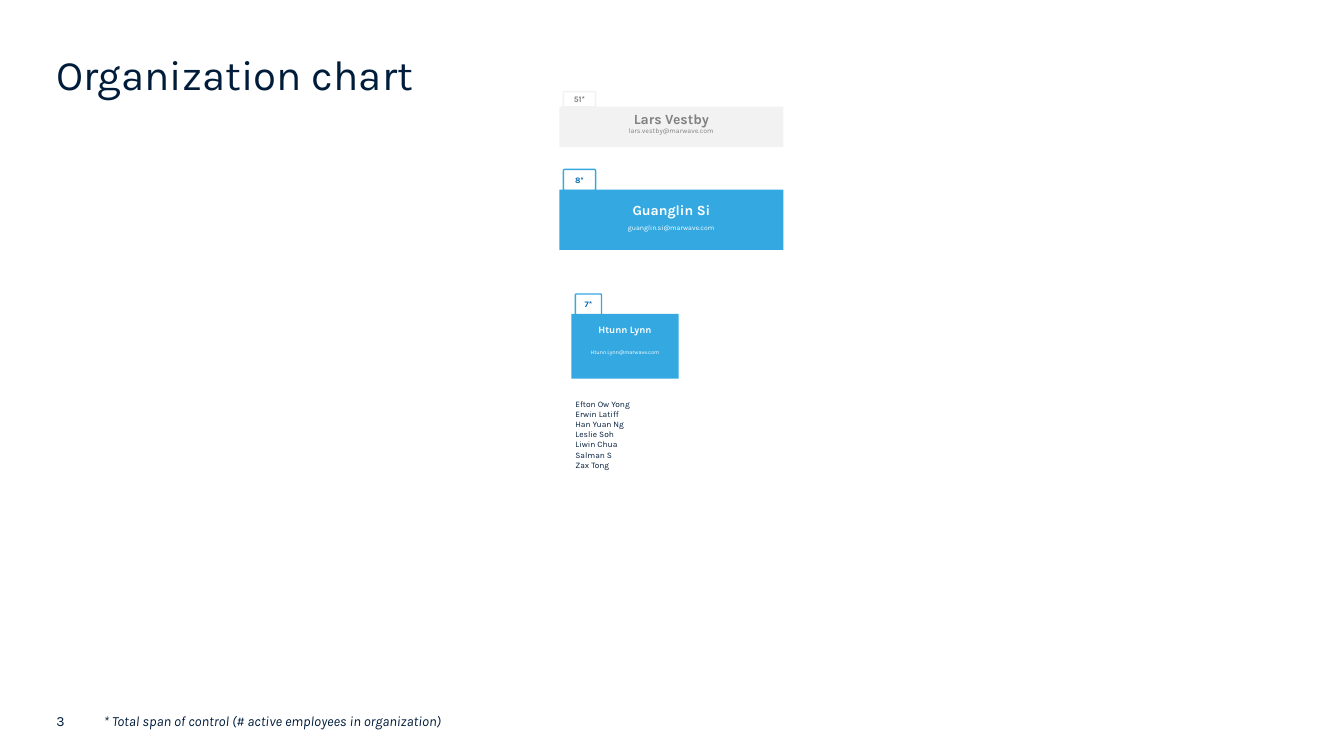
from dataclasses import dataclass

from lxml import etree
from pptx import Presentation
from pptx.dml.color import RGBColor
from pptx.enum.shapes import MSO_SHAPE
from pptx.enum.text import MSO_ANCHOR, MSO_AUTO_SIZE, PP_ALIGN
from pptx.oxml.ns import qn
from pptx.util import Cm, Pt

ROUNDED = MSO_SHAPE.ROUNDED_RECTANGLE
TOP, MIDDLE, BOTTOM = MSO_ANCHOR.TOP, MSO_ANCHOR.MIDDLE, MSO_ANCHOR.BOTTOM
LEFT, CENTER = PP_ALIGN.LEFT, PP_ALIGN.CENTER
NO_AUTOSIZE = MSO_AUTO_SIZE.NONE
FONT = "Karla"
NAVY, BLUE, DARK_BLUE = "001C3B", "34A9E1", "0068AF"
WHITE, LIGHT_GRAY, GRAY = "FFFFFF", "F2F2F2", "808080"
CARD_PADDING = 0.1
MEMBERS = ["Efton Ow Yong", "Erwin Latiff", "Han Yuan Ng", "Leslie Soh",
           "Liwin Chua", "Salman S", "Zax Tong"]


@dataclass
class Card:
    """Content and measures, in centimetres, of one manager card."""
    name: str
    email: str
    span: str
    box: tuple
    tab_size: tuple
    tab_top: float
    name_height: float
    email_box: tuple
    name_size: int
    email_size: int
    fill: str = BLUE
    color: str = WHITE
    span_color: str = DARK_BLUE
    name_anchor: MSO_ANCHOR = BOTTOM
    name_spacing: float = 1.0


CARDS = [
    Card("Lars Vestby", "lars.vestby@marwave.com", "51*", (14.1, 2.69, 5.64, 1.02),
         (0.81, 0.38), 2.31, 0.53, (0.46, 0.3), 10, 5,
         LIGHT_GRAY, GRAY, GRAY, name_spacing=Pt(10)),
    Card("Guanglin Si", "guanglin.si@marwave.com", "8*", (14.1, 4.78, 5.64, 1.52),
         (0.81, 0.53), 4.27, 0.71, (0.74, 0.43), 10, 5, name_spacing=Pt(10)),
    Card("Htunn Lynn", "Htunn.Lynn@marwave.com", "7*", (14.4, 7.91, 2.7, 1.63),
         (0.66, 0.53), 7.41, 0.79, (0.74, 0.43), 7, 4, name_anchor=MIDDLE),
]


def rgb(value):
    """Turn a hex string into a colour."""
    return RGBColor.from_string(value)


def place(shape, box):
    """Move a shape to a box given in centimetres."""
    shape.left, shape.top, shape.width, shape.height = [Cm(length) for length in box]


def write(shape, lines, size, color, align=LEFT, anchor=TOP, bold=False,
          italic=False, padding=(0, 0), spacing=1.0):
    """Fill a shape with equally formatted paragraphs."""
    frame = shape.text_frame
    frame.word_wrap = True
    frame.auto_size = NO_AUTOSIZE
    frame.vertical_anchor = anchor
    frame.margin_left, frame.margin_right = [Cm(length) for length in padding]
    frame.margin_top = frame.margin_bottom = 0
    frame.text = "\n".join(lines)
    for paragraph in frame.paragraphs:
        paragraph.alignment = align
        paragraph.line_spacing = spacing
        paragraph.space_before = Pt(0)
        font = paragraph.font
        font.name, font.size, font.bold, font.italic = FONT, Pt(size), bold, italic
        font.color.rgb = rgb(color)


def add_text(shapes, box, text, size, color, **options):
    """Add a text box with one line."""
    text_box = shapes.add_textbox(*[Cm(length) for length in box])
    write(text_box, [text], size, color, **options)


def add_panel(shapes, box, fill, line=None, rounding=0):
    """Add a filled panel, outlined if a line colour is given."""
    panel = shapes.add_shape(ROUNDED, *[Cm(length) for length in box])
    panel.adjustments[0] = rounding
    panel.shadow.inherit = False
    panel.fill.solid()
    panel.fill.fore_color.rgb = rgb(fill)
    if line:
        panel.line.color.rgb = rgb(line)
        panel.line.width = Pt(1)
    else:
        panel.line.fill.background()
    return panel


def add_card(slide, card):
    """Add a grouped manager card with its span tab."""
    shapes = slide.shapes.add_group_shape().shapes
    left, top, width, height = card.box
    tab_box = (left + CARD_PADDING, card.tab_top, *card.tab_size)
    tab = add_panel(shapes, tab_box, WHITE, card.fill, 0.05)
    write(tab, [card.span], 6, card.span_color, CENTER, MIDDLE, bold=True)
    add_panel(shapes, card.box, card.fill)
    padding = (CARD_PADDING, CARD_PADDING)
    add_text(shapes, (left, top, width, card.name_height), card.name, card.name_size,
             card.color, align=CENTER, anchor=card.name_anchor, bold=True,
             padding=padding, spacing=card.name_spacing)
    email_offset, email_height = card.email_box
    add_text(shapes, (left, top + email_offset, width, email_height), card.email,
             card.email_size, card.color, align=CENTER, anchor=MIDDLE, padding=padding)


def add_title(slide, box):
    """Set the slide title."""
    title = slide.shapes.title
    place(title, box)
    write(title, ["Organization chart"], 30, NAVY, anchor=BOTTOM, spacing=0.9)


def add_members(slide, box):
    """List the team members without bullets."""
    body = slide.placeholders[1]
    place(body, box)
    write(body, MEMBERS, 6, NAVY, padding=(CARD_PADDING, 0))
    for paragraph in body.text_frame.paragraphs:
        properties = paragraph._p.get_or_add_pPr()
        properties.set("marL", "0")
        properties.set("indent", "0")
        bullet = etree.Element(qn("a:buNone"))
        properties.find(qn("a:defRPr")).addprevious(bullet)


def add_footer(slide, box):
    """Add the page number and the footnote."""
    left, top, width, height = box
    note_offset = 1.2
    add_text(slide.shapes, (left, top, 0.7, height), "3", 10, NAVY)
    add_text(slide.shapes, (left + note_offset, top, width - note_offset, height),
             "* Total span of control (# active employees in organization)",
             10, NAVY, italic=True)


def main():
    """Build and save the organization chart."""
    presentation = Presentation()
    presentation.slide_width, presentation.slide_height = Cm(33.87), Cm(19.05)
    slide = presentation.slides.add_slide(presentation.slide_layouts[1])
    add_title(slide, (1.42, 1.37, 31, 1.14))
    for card in CARDS:
        add_card(slide, card)
    add_members(slide, (14.4, 10.06, 2.7, 5.84))
    add_footer(slide, (1.42, 17.96, 26.4, 0.43))
    presentation.save("out.pptx")


if __name__ == "__main__":
    main()
